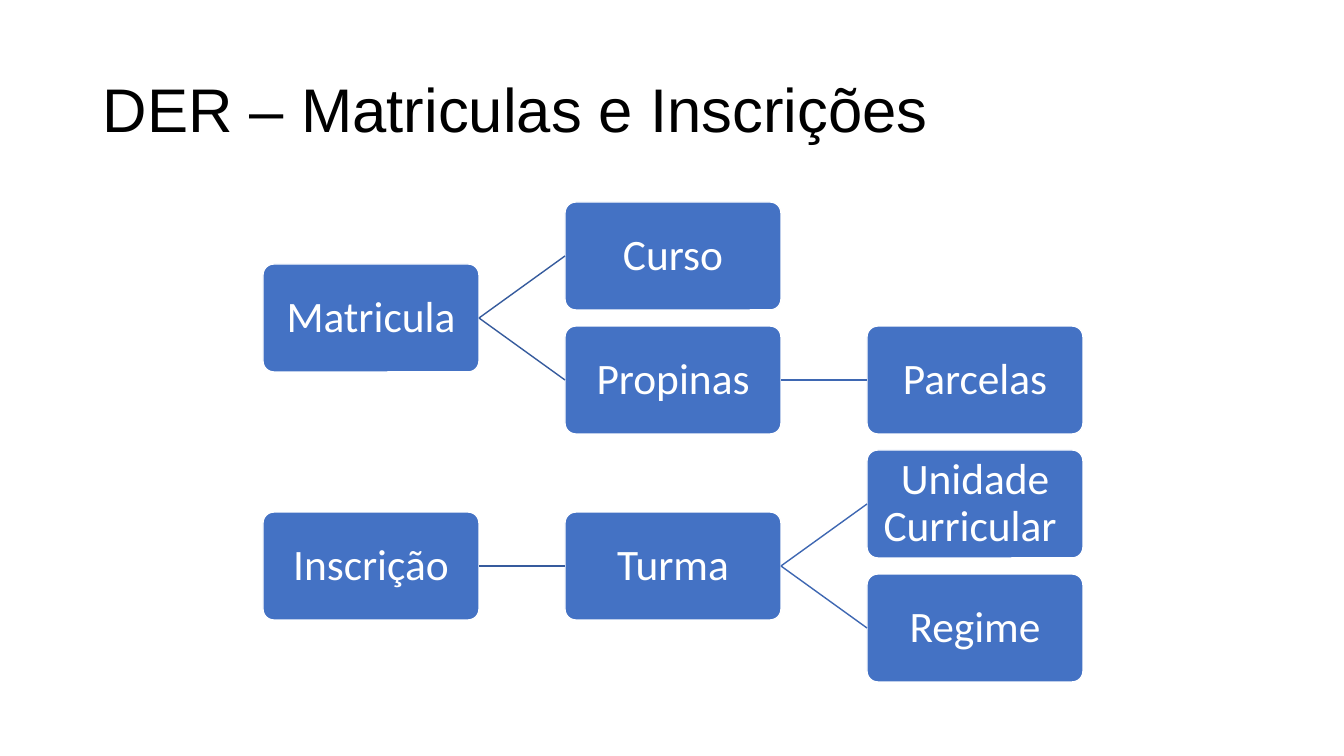
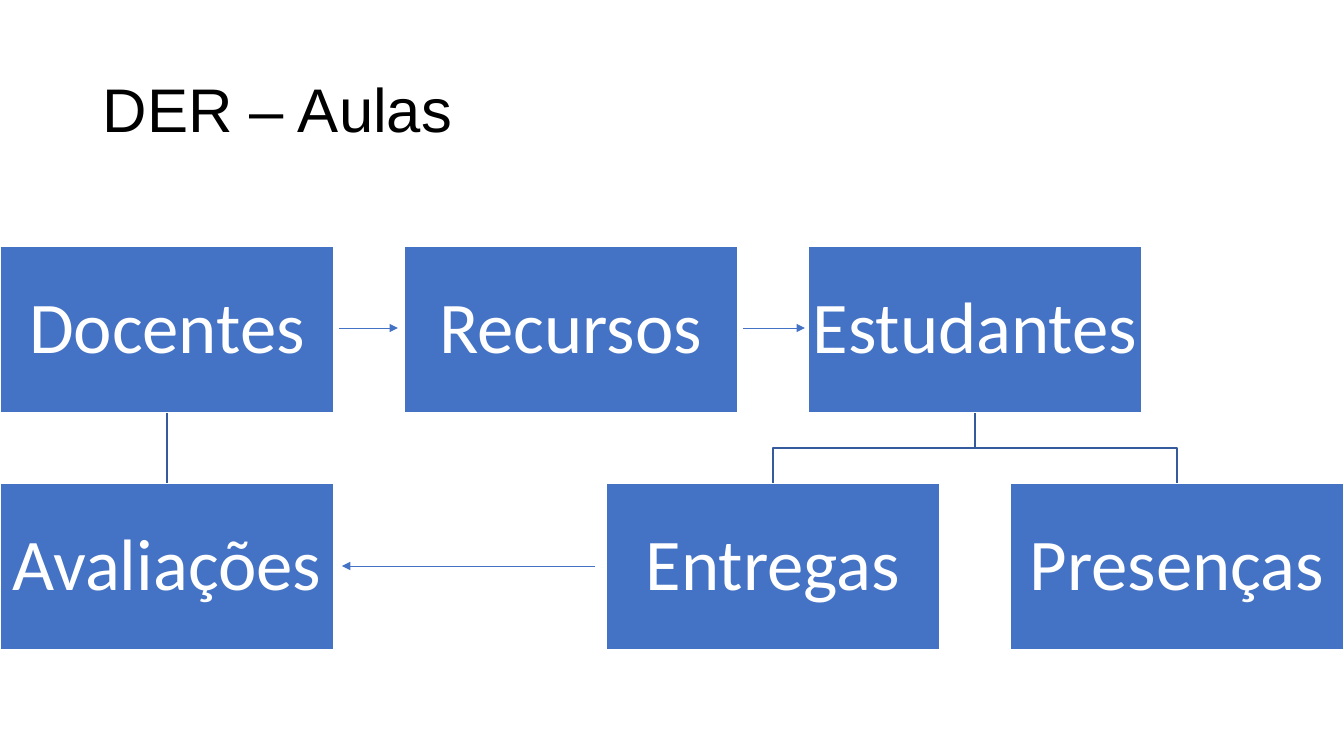
from lxml import etree
from pptx import Presentation
from pptx import util as u
from pptx.dml.color import RGBColor
from pptx.enum import shapes, text
from pptx.oxml.ns import qn

SCALE = 12192000 / 1344  # EMU per px
BLUE = RGBColor(0x44, 0x72, 0xC4)
DARK_BLUE = RGBColor(0x36, 0x5B, 0x9D)
MID_BLUE = RGBColor(0x3E, 0x67, 0xB2)
WHITE = RGBColor(0xFF, 0xFF, 0xFF)
BLACK = RGBColor(0, 0, 0)


def px(*values):
    return [u.Emu(round(v * SCALE)) for v in values]


def style_text(sp, words, font, size, color, align, inset=None):
    tf = sp.text_frame
    tf.word_wrap = True
    tf.vertical_anchor = text.MSO_ANCHOR.MIDDLE
    if inset is not None:
        tf.margin_left = tf.margin_right = tf.margin_top = tf.margin_bottom = px(inset)[0]
    p = tf.paragraphs[0]
    p.text = words
    p.alignment = align
    p.line_spacing = 0.9
    r = p.runs[0]
    r.font.name = font
    r.font.size = u.Pt(size)
    r.font.color.rgb = color


prs = Presentation()
prs.slide_width, prs.slide_height = px(1344, 756)

# Each diagram: title, box style, grid and boxes as name: (column, row)
diagrams = [
    dict(title="DER – Matriculas e Inscrições", kind=shapes.MSO_SHAPE.ROUNDED_RECTANGLE,
         size=(216, 108), origin=(263, 202), step=(302, 62), font=31, inset=5,
         boxes={"Matricula": (0, 1), "Curso": (1, 0), "Propinas": (1, 2),
                "Parcelas": (2, 2), "Inscrição": (0, 5), "Turma": (1, 5),
                "Unidade Curricular ": (2, 4), "Regime": (2, 6)}),
    dict(title="DER – Aulas", kind=shapes.MSO_SHAPE.RECTANGLE,
         size=(334, 167), origin=(0, 246), step=(202, 237), font=52, inset=4,
         boxes={"Docentes": (0, 0), "Avaliações": (0, 1), "Recursos": (2, 0),
                "Estudantes": (4, 0), "Entregas": (3, 1), "Presenças": (5, 1)}),
]

# Titles and boxes
slides, nodes = [], {}
for d in diagrams:
    s = prs.slides.add_slide(prs.slide_layouts[6])
    slides.append(s)
    title = s.shapes.add_textbox(*px(93, 40, 1159, 146))
    style_text(title, d["title"], "Arial", 44, BLACK, text.PP_ALIGN.LEFT)
    for name, (col, row) in d["boxes"].items():
        x = d["origin"][0] + col * d["step"][0]
        y = d["origin"][1] + row * d["step"][1]
        sp = s.shapes.add_shape(d["kind"], *px(x, y, *d["size"]))
        if d["kind"] == shapes.MSO_SHAPE.ROUNDED_RECTANGLE:
            sp.adjustments[0] = 0.1
        sp.shadow.inherit = False
        sp.fill.solid()
        sp.fill.fore_color.rgb = BLUE
        sp.line.color.rgb = WHITE
        sp.line.width = u.Pt(1)
        style_text(sp, name, "Calibri", d["font"], WHITE, text.PP_ALIGN.CENTER, d["inset"])
        nodes[name] = sp

# Straight links: slide, from, side, to, side, colour
der, aulas = slides
links = [
    (der, "Matricula", 3, "Curso", 1, DARK_BLUE),
    (der, "Matricula", 3, "Propinas", 1, DARK_BLUE),
    (der, "Propinas", 3, "Parcelas", 1, MID_BLUE),
    (der, "Inscrição", 3, "Turma", 1, DARK_BLUE),
    (der, "Turma", 3, "Unidade Curricular ", 1, MID_BLUE),
    (der, "Turma", 3, "Regime", 1, MID_BLUE),
    (aulas, "Docentes", 2, "Avaliações", 0, DARK_BLUE),
]
for s, start, start_side, end, end_side, color in links:
    link = s.shapes.add_connector(shapes.MSO_CONNECTOR.STRAIGHT, 0, 0, 0, 0)
    link.begin_connect(nodes[start], start_side)
    link.end_connect(nodes[end], end_side)
    link.line.color.rgb = color
    link.line.width = u.Pt(1)
    etree.SubElement(link._element.spPr, qn("a:effectLst"))

# Bent branches below Estudantes
parent = nodes["Estudantes"]
x1, y1 = parent.left + parent.width // 2, parent.top + parent.height
for name in ("Presenças", "Entregas"):
    child = nodes[name]
    x2, y2 = child.left + child.width // 2, child.top
    mid = (y1 + y2) // 2
    branch = aulas.shapes.build_freeform(x1, y1)
    branch.add_line_segments([(x1, mid), (x2, mid), (x2, y2)], close=False)
    sp = branch.convert_to_shape()
    sp.shadow.inherit = False
    sp.fill.background()
    sp.line.color.rgb = DARK_BLUE
    sp.line.width = u.Pt(1)

# Arrows between boxes: from x, to x, y
for x1, x2, y in [(595, 342, 566), (339, 398, 328), (743, 805, 328)]:
    arrow = aulas.shapes.add_connector(shapes.MSO_CONNECTOR.STRAIGHT, *px(x1, y, x2, y))
    arrow.line.color.rgb = BLUE
    arrow.line.width = u.Pt(0.5)
    etree.SubElement(arrow.line._get_or_add_ln(), qn("a:tailEnd"), type="triangle")
    etree.SubElement(arrow._element.spPr, qn("a:effectLst"))

prs.save("out.pptx")
